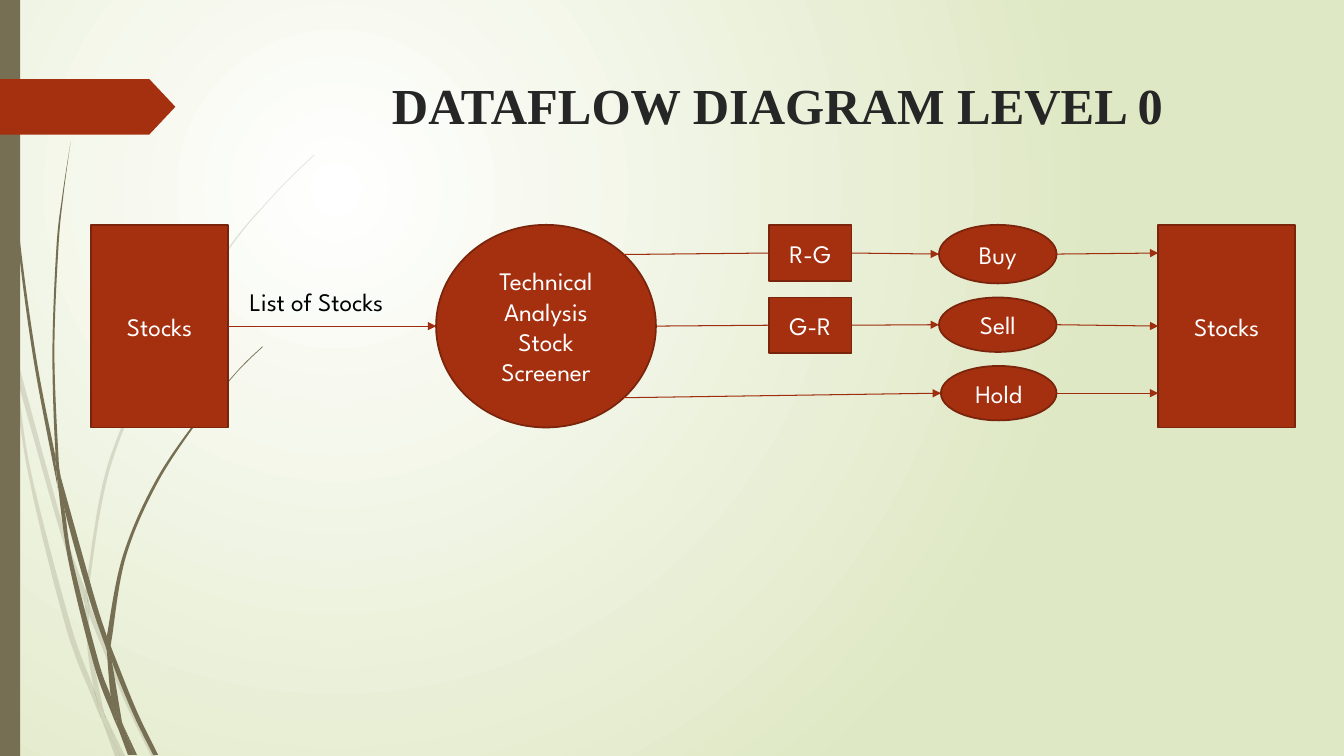
from math import sqrt

from lxml.etree import SubElement
from pptx import Presentation
from pptx.dml.color import RGBColor
from pptx.enum.shapes import MSO_CONNECTOR, MSO_SHAPE
from pptx.enum.text import MSO_ANCHOR, PP_ALIGN
from pptx.oxml.ns import qn
from pptx.util import Pt

RUST = RGBColor(0xA5, 0x30, 0x10)
RUST_EDGE = RGBColor(0x7A, 0x24, 0x0C)
RUST_LINE = RGBColor(0x9E, 0x2E, 0x0F)
OLIVE = RGBColor(0x76, 0x6F, 0x54)
PALE_GREEN = RGBColor(0xDF, 0xE8, 0xC4)
INK = RGBColor(0x26, 0x26, 0x26)
WHITE = RGBColor(0xFF, 0xFF, 0xFF)
BLACK = RGBColor(0x00, 0x00, 0x00)
BODY_FONT = "League Spartan"
TITLE_FONT = "Times New Roman"
LEFT, RIGHT = 1, 3
GRASS_UNIT = Pt(0.72)
FINENESS = 100

PALE_BLADES = [
    ([(0, 282), (9, 322), (11, 350)], [(0, 299), (10, 344), (11, 350)]),
    ([(14, 345), (62, 520), (85, 586)], [(17, 376), (58, 522), (84, 599)]),
    ([(88, 596), (92, 607), (127, 692), (155, 750)], [(88, 610), (123, 694), (150, 750)]),
    ([(105, 711), (124, 750)], [(105, 711), (119, 750)]),
    ([(11, 350), (17, 376), (31, 469), (70, 619), (93, 683), (99, 707), (101, 714)],
     [(11, 350), (28, 470), (65, 621), (92, 693), (101, 714)]),
    ([(84, 599), (87, 646), (93, 683), (96, 692), (105, 711)],
     [(84, 599), (88, 608), (88, 610), (91, 646), (103, 706), (105, 711)]),
    ([(312, 153), (289, 175), (268, 197), (228, 244), (158, 348), (107, 461), (85, 584), (85, 586)],
     [(312, 154), (290, 175), (268, 198), (229, 245), (160, 349), (110, 462), (88, 584), (88, 596)]),
    ([(101, 714), (114, 750)], [(101, 714), (119, 750)]),
    ([(85, 586), (84, 599), (88, 608)], [(85, 586), (88, 596), (88, 610)]),
    ([(93, 683), (99, 707), (101, 714), (119, 750)], [(93, 683), (96, 692), (105, 711), (119, 750)]),
]
DARK_BLADES = [
    ([(3, 0), (4, 48), (7, 110), (17, 233), (33, 355), (56, 477), (57, 481)],
     [(4, 0), (5, 48), (8, 109), (19, 232), (36, 355), (55, 453), (55, 457), (57, 481)]),
    ([(60, 472), (93, 590), (106, 631), (106, 633)], [(60, 472), (64, 505), (88, 592), (106, 645)]),
    ([(110, 641), (113, 649), (136, 706), (157, 749)], [(110, 641), (111, 656), (132, 708), (152, 749)]),
    ([(57, 477), (64, 505), (72, 556), (98, 657), (110, 691), (116, 717), (117, 722)],
     [(57, 477), (68, 557), (93, 659), (111, 708), (117, 722)]),
    ([(70, 141), (62, 193), (56, 245), (52, 349), (55, 449), (60, 472)],
     [(70, 141), (63, 193), (58, 245), (54, 349), (58, 453), (60, 472)]),
    ([(122, 719), (136, 749)], [(122, 719), (133, 749)]),
    ([(55, 449), (55, 453), (57, 477), (64, 505)], [(55, 449), (60, 472), (64, 505)]),
    ([(260, 344), (245, 358), (231, 373), (204, 405), (156, 474), (122, 551), (106, 631)],
     [(261, 344), (245, 359), (231, 374), (205, 406), (158, 476), (125, 552), (111, 633), (110, 641)]),
    ([(117, 722), (127, 749)], [(117, 722), (131, 749)]),
    ([(106, 645), (110, 691), (116, 706), (122, 719)],
     [(106, 645), (109, 651), (111, 656), (121, 716), (122, 719)]),
    ([(106, 631), (106, 645), (109, 651), (111, 656)], [(106, 631), (110, 641), (111, 656)]),
    ([(110, 691), (116, 717), (117, 722), (130, 749)], [(110, 691), (116, 706), (122, 719), (133, 749)]),
]


def curve_handles(knots):
    """Return the pair of handles for each stretch of a smooth curve."""
    padded = [knots[0], *knots, knots[-1]]
    return [
        [tuple(b + (c - a) / 6 for a, b, c in zip(before, start, end)),
         tuple(c - (d - b) / 6 for b, c, d in zip(start, end, after))]
        for before, start, end, after in zip(padded, padded[1:], padded[2:], padded[3:])]


def bend(blade, handles, left, top):
    """Turn the straight stretches that have handles into curves."""
    for stretch, pair in zip(blade.element.xpath(".//a:lnTo"), handles):
        if pair is None:
            continue
        stretch.tag = qn("a:cubicBezTo")
        for offset, (x, y) in enumerate(pair):
            handle = SubElement(stretch, qn("a:pt"))
            handle.set("x", str(round((x - left) * FINENESS)))
            handle.set("y", str(round((y - top) * FINENESS)))
            stretch.insert(offset, handle)


def paint(shape, fill, edge=None):
    """Give a shape a flat fill and an optional outline."""
    shape.shadow.inherit = False
    shape.fill.solid()
    shape.fill.fore_color.rgb = fill
    if edge is None:
        shape.line.fill.background()
    else:
        shape.line.color.rgb = edge
        shape.line.width = Pt(1.25)


def write(para, text, size, font, color, bold=False):
    """Add one formatted run to a paragraph."""
    span = para.add_run()
    span.text = text
    span.font.size = Pt(size)
    span.font.name = font
    span.font.color.rgb = color
    span.font.bold = bold


def add_background(page):
    """Fill the page with a round gradient centred at its upper left."""
    fill = page.background.fill
    fill.gradient()
    for stop, color in zip(fill.gradient_stops, (WHITE, PALE_GREEN)):
        stop.color.rgb = color
    gradient = page.element.xpath(".//p:bg//a:gradFill")[0]
    gradient.remove(gradient.find(qn("a:lin")))
    circle = SubElement(gradient, qn("a:path"))
    circle.set("path", "circle")
    target = SubElement(circle, qn("a:fillToRect"))
    for side_name, share in zip("ltrb", (50, 50, 100, 100)):
        target.set(side_name, str(share * 1000))


def add_blades(page, blades, opacity):
    """Draw grass blades, each between two smooth edges."""
    for first_edge, second_edge in blades:
        way_back = second_edge[::-1]
        outline = first_edge + way_back
        points = [(x * FINENESS, y * FINENESS) for x, y in outline]
        builder = page.shapes.build_freeform(*points[0], scale=GRASS_UNIT / FINENESS)
        builder.add_line_segments(points[1:], close=True)
        blade = builder.convert_to_shape()
        handles = curve_handles(first_edge) + [None] + curve_handles(way_back)
        bend(blade, handles, min(x for x, y in outline), min(y for x, y in outline))
        paint(blade, OLIVE)
        if opacity < 100:
            color = blade.element.xpath("./p:spPr/a:solidFill/a:srgbClr")[0]
            SubElement(color, qn("a:alpha")).set("val", str(opacity * 1000))


def add_side_decoration(page, height):
    """Draw the grass, the side bar and the title marker."""
    add_blades(page, PALE_BLADES, 20)
    add_blades(page, DARK_BLADES, 100)
    bar = page.shapes.add_shape(MSO_SHAPE.RECTANGLE, 0, 0, Pt(14.4), Pt(height))
    paint(bar, OLIVE)
    marker = page.shapes.add_shape(MSO_SHAPE.PENTAGON, 0, Pt(56.5), Pt(125.3), Pt(39.6))
    marker.adjustments[0] = 0.47
    paint(marker, RUST)


def add_title(page, left, top, width, height):
    """Place the heading in the title placeholder."""
    title = page.shapes.title
    title.left, title.top, title.width, title.height = Pt(left), Pt(top), Pt(width), Pt(height)
    title.text_frame.vertical_anchor = MSO_ANCHOR.TOP
    para = title.text_frame.paragraphs[0]
    para.alignment = PP_ALIGN.CENTER
    write(para, "DATAFLOW DIAGRAM LEVEL 0", 36, TITLE_FONT, INK, True)


def add_node(page, kind, text, left, top, width, height):
    """Add one labelled node of the diagram."""
    node = page.shapes.add_shape(kind, Pt(left), Pt(top), Pt(width), Pt(height))
    paint(node, RUST, RUST_EDGE)
    node.text_frame.word_wrap = True
    node.text_frame.vertical_anchor = MSO_ANCHOR.MIDDLE
    para = node.text_frame.paragraphs[0]
    para.alignment = PP_ALIGN.CENTER
    write(para, text, 18, BODY_FONT, WHITE)
    return node


def side(node, index):
    """Return the middle of a node's left or right side."""
    return node.left + (node.width if index == RIGHT else 0), node.top + node.height // 2


def add_flow(page, start, end, begin_node=None, end_node=None, arrow=True):
    """Draw a flow line between two points, joined to any rectangles given."""
    flow = page.shapes.add_connector(MSO_CONNECTOR.STRAIGHT, *start, *end)
    if begin_node is not None:
        flow.begin_connect(begin_node, RIGHT)
    if end_node is not None:
        flow.end_connect(end_node, LEFT)
    flow.line.color.rgb = RUST_LINE
    flow.line.width = Pt(0.75)
    properties = flow.element.spPr
    if arrow:
        SubElement(properties.find(qn("a:ln")), qn("a:tailEnd")).set("type", "triangle")
    SubElement(properties, qn("a:effectLst"))


def add_flow_label(page, left, top, width, height):
    """Name the flow from the source to the screener."""
    box = page.shapes.add_textbox(Pt(left), Pt(top), Pt(width), Pt(height))
    box.text_frame.word_wrap = True
    write(box.text_frame.paragraphs[0], "List of Stocks", 18, BODY_FONT, BLACK)


def add_diagram(page, left, top, width, height):
    """Draw the data flow from the source to the target inside a box."""
    block, oval, store = MSO_SHAPE.RECTANGLE, MSO_SHAPE.OVAL, 97.7
    source = add_node(page, block, "Stocks", left, top, store, height)
    screener = add_node(page, oval, "Technical Analysis Stock Screener", left + 246.4, top, 157, height)
    red_green = add_node(page, block, "R-G", left + 484.2, top, 59, 40.3)
    green_red = add_node(page, block, "G-R", left + 484.2, top + 51.9, 59, 39.6)
    buy = add_node(page, oval, "Buy", left + 605.6, top, 84, 41.8)
    sell = add_node(page, oval, "Sell", left + 605.6, top + 51.9, 84, 38.9)
    hold = add_node(page, oval, "Hold", left + 607, top + 100.8, 82.6, 38.9)
    target = add_node(page, block, "Stocks", left + width - store, top, store, height)
    center_x, center_y = screener.left + screener.width // 2, side(screener, LEFT)[1]
    reach_x, reach_y = (int(size / 2 / sqrt(2)) for size in (screener.width, screener.height))
    add_flow(page, side(source, RIGHT), side(screener, LEFT), begin_node=source)
    add_flow(page, (center_x + reach_x, center_y - reach_y), side(red_green, LEFT), end_node=red_green, arrow=False)
    add_flow(page, side(screener, RIGHT), side(green_red, LEFT), end_node=green_red, arrow=False)
    add_flow(page, (center_x + reach_x, center_y + reach_y), side(hold, LEFT))
    add_flow(page, side(red_green, RIGHT), side(buy, LEFT), begin_node=red_green)
    add_flow(page, side(green_red, RIGHT), side(sell, LEFT), begin_node=green_red)
    add_flow(page, side(buy, RIGHT), (target.left, side(red_green, RIGHT)[1]))
    add_flow(page, side(sell, RIGHT), side(target, LEFT), end_node=target)
    add_flow(page, side(hold, RIGHT), (target.left, side(hold, RIGHT)[1]))
    add_flow_label(page, left + 106.2, top + 40.3, 123.8, 29)


def main():
    """Build the deck and save it."""
    deck = Presentation()
    deck.slide_width, deck.slide_height = Pt(960), Pt(540)
    page = deck.slides.add_slide(deck.slide_layouts[5])
    add_background(page)
    add_side_decoration(page, 540)
    add_title(page, 204.5, 49, 702, 100.8)
    add_diagram(page, 65.1, 160.6, 860, 144.7)
    deck.save("out.pptx")


if __name__ == "__main__":
    main()
